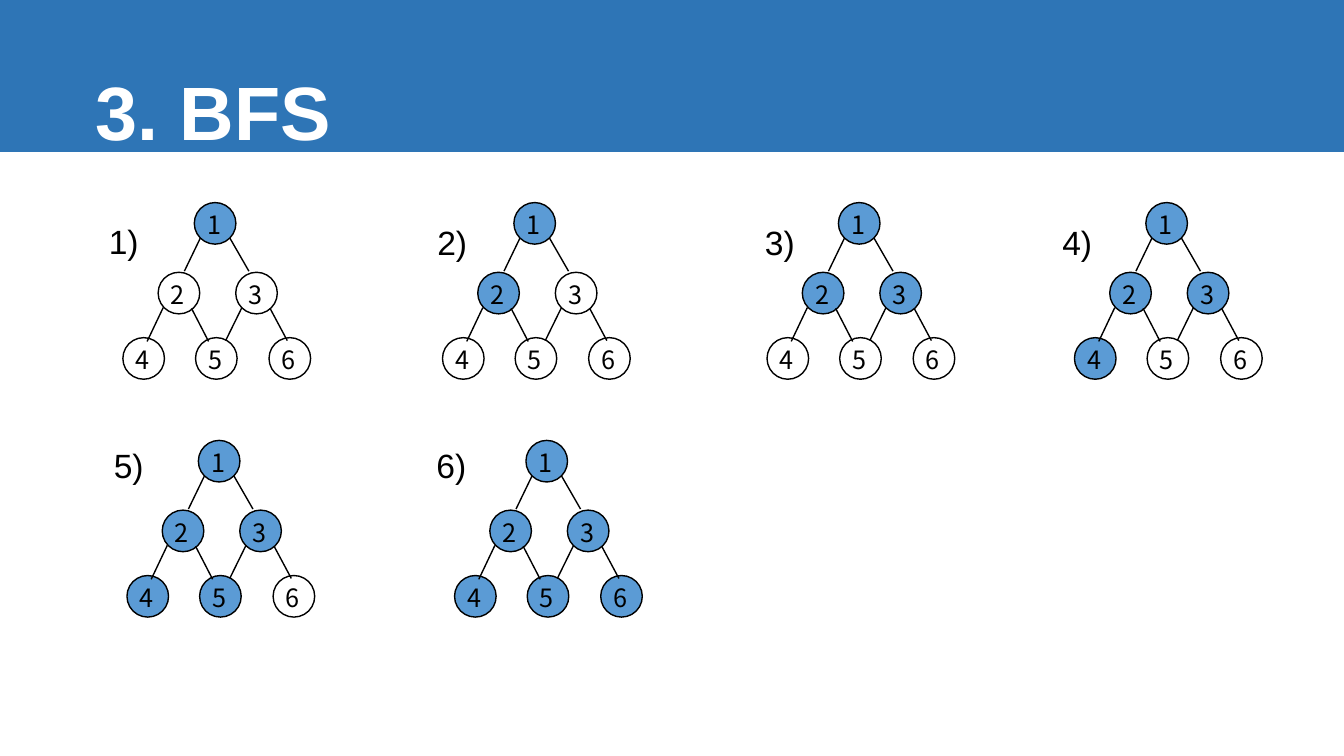
"""Build a slide that shows breadth-first search visiting a six-node graph step by step."""
import pptx
import pptx.dml.color
import pptx.enum.shapes
import pptx.enum.text
import pptx.oxml
import pptx.util

Pt = pptx.util.Pt
ANCHOR = pptx.enum.text.MSO_ANCHOR
ALIGN = pptx.enum.text.PP_ALIGN
SHAPE = pptx.enum.shapes.MSO_SHAPE

BANNER_BLUE = pptx.dml.color.RGBColor(0x2E, 0x75, 0xB6)
VISITED_BLUE = pptx.dml.color.RGBColor(0x5B, 0x9B, 0xD5)
BLACK = pptx.dml.color.RGBColor(0, 0, 0)
WHITE = pptx.dml.color.RGBColor(0xFF, 0xFF, 0xFF)

NODE_SIZE = 29.7
NODES = {
    1: (51, 0),
    2: (25.2, 49.8),
    3: (80.6, 49.8),
    4: (0, 96.5),
    5: (51.9, 96.5),
    6: (104.4, 96.5),
}
EDGES = [
    (55.4, 25.2, 43.9, 49),
    (76.3, 25.2, 90, 49),
    (28.8, 75, 17.3, 99.2),
    (49, 75.6, 61.2, 99.2),
    (85, 75, 73.4, 98.6),
    (105.1, 75.6, 117.4, 98.6),
]
TOP_ROW, BOTTOM_ROW = 144.7, 314.6
STEPS = [
    (87.8, TOP_ROW, 70.6, 125.3),
    (316.1, TOP_ROW, 305.3, 126),
    (547.9, TOP_ROW, 539.3, 126),
    (767.5, TOP_ROW, 751.7, 126),
    (90.7, BOTTOM_ROW, 74.2, 285.8),
    (324.7, BOTTOM_ROW, 304.6, 285.8),
]


def write_text(frame, text, *, font="Arial", size=24, color=BLACK, bold=False,
               align=ALIGN.LEFT, anchor=ANCHOR.TOP, line_spacing=1.0):
    """Write one formatted paragraph into a text frame."""
    frame.vertical_anchor = anchor
    paragraph = frame.paragraphs[0]
    paragraph.alignment = align
    paragraph.line_spacing = line_spacing
    run = paragraph.add_run()
    run.text = text
    run.font.name = font
    run.font.size = Pt(size)
    run.font.bold = bold
    run.font.color.rgb = color


class SlideBuilder:
    """Hold the slide and the style shared by its elements."""

    node_font = "Noto Sans CJK KR"
    node_text_size = 18
    line_width = 1

    def __init__(self, slide):
        """Keep the slide that receives the elements."""
        self.slide = slide

    def banner(self, width, height):
        """Add the filled band across the top."""
        band = self.slide.shapes.add_shape(SHAPE.RECTANGLE, 0, 0, Pt(width), Pt(height))
        band.shadow.inherit = False
        band.fill.solid()
        band.fill.fore_color.rgb = BANNER_BLUE
        band.line.fill.background()

    def text(self, text, left, top, width, height, **text_format):
        """Add a wrapping text box."""
        box = self.slide.shapes.add_textbox(Pt(left), Pt(top), Pt(width), Pt(height))
        box.text_frame.word_wrap = True
        write_text(box.text_frame, text, **text_format)

    def node(self, group, number, left, top, visited):
        """Add a numbered circle, filled once it is visited."""
        circle = group.shapes.add_shape(
            SHAPE.OVAL, Pt(left), Pt(top), Pt(NODE_SIZE), Pt(NODE_SIZE))
        circle.shadow.inherit = False
        if visited:
            circle.fill.solid()
            circle.fill.fore_color.rgb = VISITED_BLUE
        else:
            circle.fill.background()
        circle.line.color.rgb = BLACK
        circle.line.width = Pt(self.line_width)
        frame = circle.text_frame
        frame.word_wrap = False
        frame.margin_left = frame.margin_bottom = 0
        frame.margin_right = frame.margin_top = Pt(1.5)
        write_text(frame, str(number), font=self.node_font, size=self.node_text_size,
                   align=ALIGN.CENTER, anchor=ANCHOR.MIDDLE)

    def edge(self, group, start_x, start_y, end_x, end_y):
        """Add a straight line between two nodes."""
        connector = group.shapes.add_connector(
            pptx.enum.shapes.MSO_CONNECTOR.STRAIGHT,
            Pt(start_x), Pt(start_y), Pt(end_x), Pt(end_y))
        connector.line.color.rgb = BLACK
        connector.line.width = Pt(self.line_width)
        properties = connector.element.spPr
        properties.append(pptx.oxml.parse_xml(
            '<a:effectLst xmlns:a="http://schemas.openxmlformats.org/drawingml/2006/main"/>'))

    def graph(self, left, top, visited_count):
        """Add the grouped graph with its first nodes visited."""
        group = self.slide.shapes.add_group_shape()
        for number, (x, y) in NODES.items():
            self.node(group, number, left + x, top + y, number <= visited_count)
        for start_x, start_y, end_x, end_y in EDGES:
            self.edge(group, left + start_x, top + start_y, left + end_x, top + end_y)


def main():
    """Create and save the presentation."""
    presentation = pptx.Presentation()
    presentation.slide_width = Pt(960)
    presentation.slide_height = Pt(540)
    slide = presentation.slides.add_slide(presentation.slide_layouts[6])
    builder = SlideBuilder(slide)
    builder.banner(960, 108.6)
    builder.text("3. BFS", 61.2, 42.5, 828, 73.4, size=54, color=WHITE, bold=True,
                 anchor=ANCHOR.BOTTOM, line_spacing=0.9)
    for step, (left, top, label_left, label_top) in enumerate(STEPS, start=1):
        builder.graph(left, top, step)
        builder.text(f"{step})", label_left, label_top, 44.6, 56.2, line_spacing=2.0)
    presentation.save("out.pptx")


if __name__ == "__main__":
    main()
